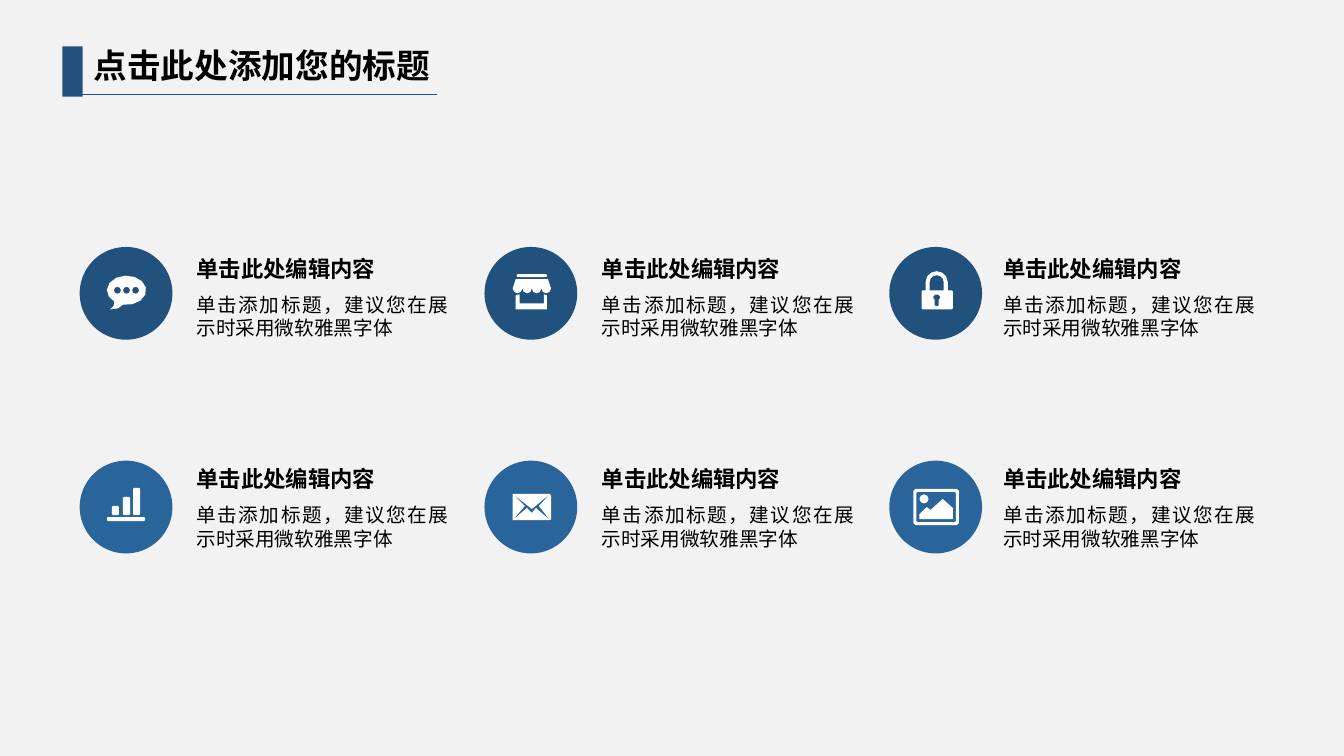
from math import ceil, cos, radians, sin

from lxml import etree
from pptx import Presentation
from pptx.dml.color import RGBColor
from pptx.enum import shapes as kinds, text as txt
from pptx.oxml.ns import qn
from pptx.util import Inches, Pt

TITLE = "点击此处添加您的标题"
HEAD = "单击此处编辑内容"
BODY = "单击添加标题，建议您在展示时采用微软雅黑字体"
ICONS = [["chat", "shop", "lock"], ["bars", "mail", "photo"]]

HEX = {"back": "F2F2F2", "navy": "21517D", "blue": "29659B",
       "icon": "FFFFFF", "text": "000000"}
FILLS = ["navy", "blue"]
LATIN, ASIAN = "League Spartan", "Noto Sans CJK SC"

DISC = 0.92
DISC_X, DISC_Y = 0.79, 2.45
STEP_X, STEP_Y = 4.015, 2.12
TEXT_X = [1.85, 5.87, 9.85]
TEXT_Y = [2.48, 4.57]
HEAD_H = 0.37


def arc(x, y, rx, ry, start=0, end=360, step=30):
    """Points on an ellipse, clockwise in degrees from the right."""
    count = ceil(abs(end - start) / step)
    turns = [radians(start + (end - start) * i / count) for i in range(count + 1)]
    return [(x + rx * cos(t), y + ry * sin(t)) for t in turns]


def box(left, top, right, bottom, r=1):
    """Outline of a rectangle with softened corners."""
    hubs = [(right - r, bottom - r), (left + r, bottom - r),
            (left + r, top + r), (right - r, top + r)]
    return [p for i, (x, y) in enumerate(hubs)
            for p in arc(x, y, r, r, 90 * i, 90 * i + 90, 90)]


# Outlines in hundredths of an inch from the centre of the disc
scallops = [p for x in (15.25, 5.75, -3.75, -13.25)
            for p in arc(x, -5, 4.75, 5, 0, 180, 45)]
ART = {
    "chat": [arc(0.5, -3, 19.5, 14.5, 128, 460) + [(-8, 15), (-16, 16), (-12.5, 13)]]
            + [arc(x, -3, 3.5, 3.5, step=45) for x in (-8.5, 0.5, 9.5)],
    "shop": [[(-15, -14), (17, -14), (20, -5)] + scallops,
             box(-14, -19, 16, -16),
             [(-15, 2), (-11, 1), (-11, 10), (13, 10),
              (13, 1), (16, 2), (16, 16), (-15, 16)]],
    "lock": [box(-14, -3, 17, 16),
             arc(1, 4, 3.5, 3, 125, 415, 45) + [(3, 12), (1, 13), (-1, 12)],
             [(-10, -3)] + arc(1, -11, 11, 11, 180, 360) + [(12, -3), (8, -3)]
             + arc(1, -11, 7, 7, 360, 180) + [(-6, -3)]],
    "bars": [box(-19, 10, 19, 14)]
            + [box(x, y, x + 7, 8) for x, y in ((-14, -1), (-3, -10), (7, -19))],
    "mail": [[(8, -1), (19, -13), (20, -11), (20, 12), (19, 13)],
             [(-18, -13), (19, -13), (1, 2)],
             [(-18, -13), (-6, -1), (-18, 13)],
             [(1, 6), (5, 1), (19, 13), (-18, 13), (-4, 1)]],
    "photo": [box(-22, -18, 23, 18, 2), box(-19, -15, 20, 15, 1),
              arc(-11.5, -8, 4.5, 4.5, step=45),
              [(17, 12), (-16, 12), (-16, 7), (-9, 0), (-5, 3), (7, -8), (17, 1)]],
}


def rgb(name):
    return RGBColor.from_string(HEX[name])


def paint(shape, color):
    shape.shadow.inherit = False
    shape.fill.solid()
    shape.fill.fore_color.rgb = rgb(color)
    shape.line.fill.background()


def preset(slide, kind, place, color):
    paint(slide.shapes.add_shape(kind, *map(Inches, place)), color)


def draw(slide, outlines, x, y):
    """One freeform of several outlines around a centre in inches."""
    paths = [[(Inches(x + dx / 100), Inches(y + dy / 100)) for dx, dy in line]
             for line in outlines]
    pen = slide.shapes.build_freeform(*paths[0][0], scale=1.0)
    for i, path in enumerate(paths):
        if i:
            pen.move_to(*path[0])
        pen.add_line_segments(path[1:], close=True)
    paint(pen.convert_to_shape(), "icon")


def write(shape, words, size, bold=False, font=LATIN, para=None):
    frame = shape.text_frame
    look = {"word_wrap": True, "vertical_anchor": txt.MSO_ANCHOR.TOP,
            "auto_size": txt.MSO_AUTO_SIZE.SHAPE_TO_FIT_TEXT}
    for key, value in look.items():
        setattr(frame, key, value)
    line = frame.paragraphs[0]
    for key, value in (para or {"alignment": txt.PP_ALIGN.LEFT}).items():
        setattr(line, key, value)
    run = line.add_run()
    run.text = words
    run.font.color.rgb = rgb("text")
    for key, value in {"size": Pt(size), "bold": bold, "name": font}.items():
        setattr(run.font, key, value)
    etree.SubElement(run.font._element, qn("a:ea")).set("typeface", ASIAN)


def label(slide, place, *args, **more):
    write(slide.shapes.add_textbox(*map(Inches, place)), *args, **more)


def header(slide):
    preset(slide, kinds.MSO_SHAPE.RECTANGLE, (0.62, 0.46, 0.2, 0.5), "navy")
    rule = slide.shapes.add_connector(
        kinds.MSO_CONNECTOR.STRAIGHT, *map(Inches, (0.76, 0.94, 4.33, 0.94)))
    rule.line.color.rgb = rgb("navy")
    rule.line.width = Pt(0.5)
    etree.SubElement(rule._element.spPr, qn("a:effectLst"))
    title = slide.shapes.title
    for key, value in zip(("left", "top", "width", "height"), (0.83, 0.4, 3.92, 0.5)):
        setattr(title, key, Inches(value))
    write(title, TITLE, 24, True, ASIAN)


def main():
    deck = Presentation()
    deck.slide_width, deck.slide_height = Inches(13.33), Inches(7.5)
    slide = deck.slides.add_slide(deck.slide_layouts[5])
    slide.background.fill.solid()
    slide.background.fill.fore_color.rgb = rgb("back")
    header(slide)
    prose = {"alignment": txt.PP_ALIGN.JUSTIFY, "line_spacing": Pt(17)}
    for row, names in enumerate(ICONS):
        for col, name in enumerate(names):
            x, y = DISC_X + col * STEP_X, DISC_Y + row * STEP_Y
            preset(slide, kinds.MSO_SHAPE.OVAL, (x, y, DISC, DISC), FILLS[row])
            draw(slide, ART[name], x + DISC / 2, y + DISC / 2)
            left, top = TEXT_X[col], TEXT_Y[row]
            label(slide, (left, top, 2.53, HEAD_H), HEAD, 16, True)
            label(slide, (left, top + HEAD_H, 2.7, 0.58), BODY, 14, para=prose)
    deck.save("out.pptx")


if __name__ == "__main__":
    main()
